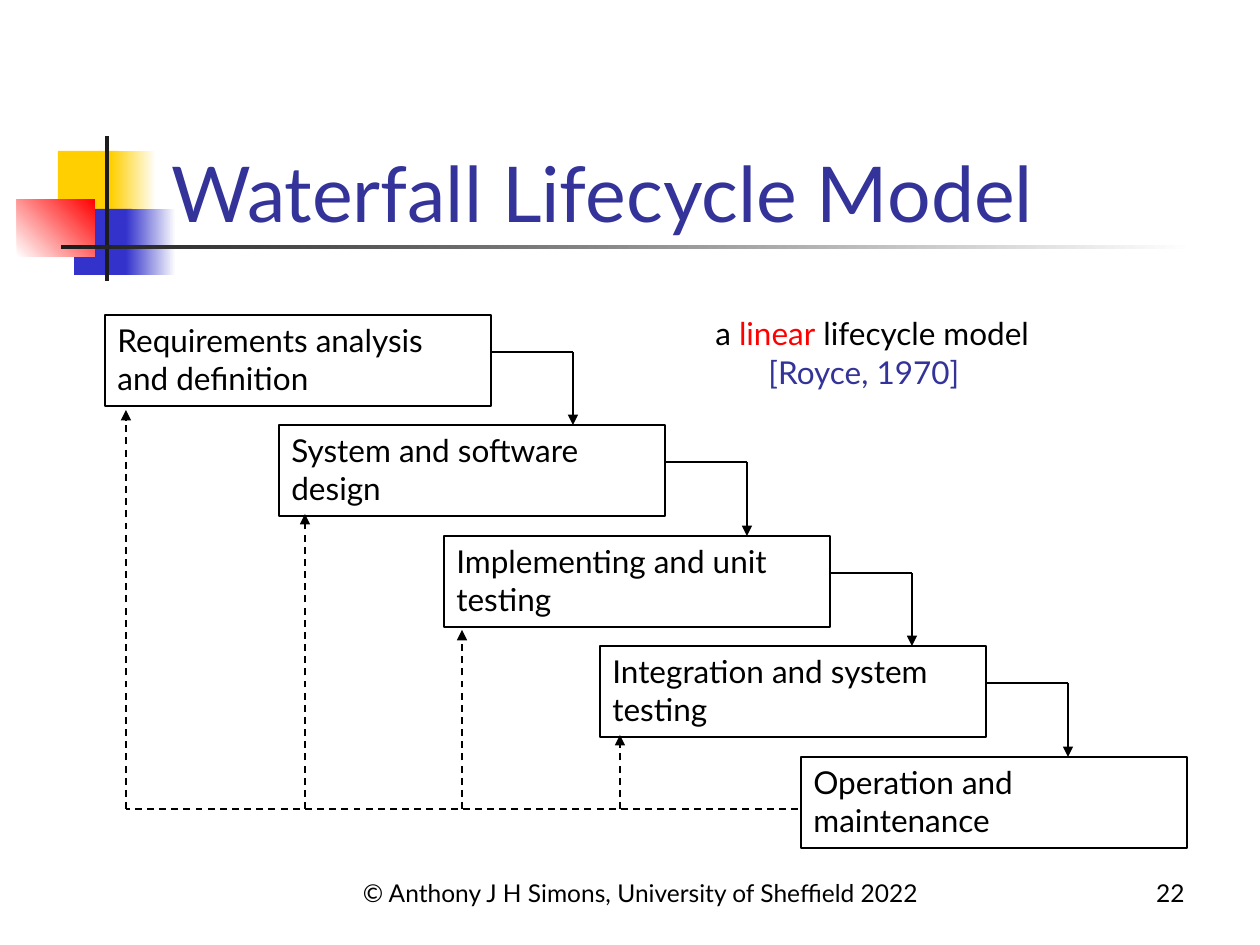
"""Build the waterfall lifecycle model slide."""
from lxml.etree import SubElement
from pptx import Presentation
from pptx.dml.color import RGBColor
from pptx.enum.dml import MSO_LINE
from pptx.enum.shapes import MSO_CONNECTOR, MSO_SHAPE
from pptx.enum.text import MSO_ANCHOR, PP_ALIGN
from pptx.oxml.ns import qn
from pptx.util import Pt

PX = 914400 // 126
FONT = "Lato"
COLORS = {name: RGBColor.from_string(value) for name, value in {
    "black": "000000", "white": "FFFFFF", "navy": "333399", "blue": "3333CC",
    "yellow": "FFCF01", "red": "FF0000", "ink": "1C1C1C"}.items()}


def add_line(start, end, dashed=False, arrow=False):
    """Draw a thin black line between two points given in px."""
    line = page.shapes.add_connector(
        MSO_CONNECTOR.STRAIGHT, *(value * PX for value in start + end))
    line.line.color.rgb = COLORS["black"]
    line.line.width = Pt(1)
    if dashed:
        line.line.dash_style = MSO_LINE.DASH
    if arrow:
        SubElement(line.line._get_or_add_ln(), qn("a:tailEnd"), type="triangle")
    SubElement(line._element.spPr, qn("a:effectLst"))


def add_text(place, spans, size, align=PP_ALIGN.LEFT, anchor=MSO_ANCHOR.TOP, wrap=True):
    """Add a text box of one paragraph made of (text, colour) spans."""
    box = page.shapes.add_textbox(*(value * PX for value in place))
    box.text_frame.word_wrap = wrap
    box.text_frame.vertical_anchor = anchor
    para = box.text_frame.paragraphs[0]
    para.alignment = align
    para.font.name = FONT
    para.font.size = Pt(size)
    for text, color in spans:
        span = para.add_run()
        span.text = text
        span.font.color.rgb = COLORS[color]


deck = Presentation()
deck.slide_width, deck.slide_height = 1260 * PX, 945 * PX
page = deck.slides.add_slide(deck.slide_layouts[5])

ornaments = [
    ((58, 151, 60, 66), "yellow", None, 0),
    ((111, 151, 45, 66), "yellow", "white", 0),
    ((74, 209, 58, 66), "blue", None, 0),
    ((126, 209, 50, 66), "blue", "white", 0),
    ((17, 199, 78, 58), "white", "red", 45),
    ((105, 136, 4, 145), "ink", None, 0),
    ((61, 245, 1134, 4), "ink", "white", 0),
]
for place, color, fade, angle in ornaments:
    block = page.shapes.add_shape(MSO_SHAPE.RECTANGLE, *(value * PX for value in place))
    block.shadow.inherit = False
    block.line.fill.background()
    if fade:
        block.fill.gradient()
        block.fill.gradient_angle = angle
        for stop, stop_color in zip(block.fill.gradient_stops, (color, fade)):
            stop.color.rgb = COLORS[stop_color]
            stop.position = 0 if stop_color == color else 1
    else:
        block.fill.solid()
        block.fill.fore_color.rgb = COLORS[color]

title = page.shapes.title
title.left, title.top, title.width, title.height = (value * PX for value in (159, 86, 1074, 158))
title.text_frame.text = "Waterfall Lifecycle Model"
title.text_frame.vertical_anchor = MSO_ANCHOR.BOTTOM
heading = title.text_frame.paragraphs[0]
heading.alignment = PP_ALIGN.LEFT
heading.font.name = FONT
heading.font.size = Pt(44)
heading.font.color.rgb = COLORS["navy"]

phases = [
    (105, "Requirements analysis and definition"),
    (279, "System and software design"),
    (444, "Implementing and unit testing"),
    (600, "Integration and system testing"),
    (801, "Operation and maintenance"),
]
BOX_WIDTH, BOX_HEIGHT = 386, 91
tops = [315 + 221 * index // 2 for index in range(len(phases))]
for (left, label), top in zip(phases, tops):
    box = page.shapes.add_shape(
        MSO_SHAPE.RECTANGLE, left * PX, top * PX, BOX_WIDTH * PX, BOX_HEIGHT * PX)
    box.shadow.inherit = False
    box.fill.background()
    box.line.color.rgb = COLORS["black"]
    box.line.width = Pt(1)
    box.text_frame.text = label
    box.text_frame.vertical_anchor = MSO_ANCHOR.TOP
    para = box.text_frame.paragraphs[0]
    para.alignment = PP_ALIGN.LEFT
    para.font.name = FONT
    para.font.size = Pt(18)
    para.font.color.rgb = COLORS["black"]

for (left, label), top, next_top in zip(phases, tops, tops[1:]):
    right, level = left + BOX_WIDTH, top + 37
    corner = right + 82
    add_line((right, level), (corner, level))
    add_line((corner, level), (corner, next_top), arrow=True)

FEEDBACK = 809
add_line((798, FEEDBACK), (126, FEEDBACK), dashed=True)
for x, tip in [(126, 410), (305, 514), (462, 630), (620, 735)]:
    add_line((x, FEEDBACK), (x, tip), dashed=True, arrow=True)

add_text((703, 308, 343, 50),
         [("a ", "black"), ("linear", "red"), (" lifecycle model", "black")], 18, wrap=False)
add_text((756, 347, 222, 50), [("[Royce, 1970]", "navy")], 18, wrap=False)
add_text((294, 851, 693, 63),
         [("© Anthony J H Simons, University of Sheffield 2022", "black")],
         14, PP_ALIGN.CENTER, MSO_ANCHOR.BOTTOM)
add_text((935, 851, 262, 63), [("22", "black")], 14, PP_ALIGN.RIGHT, MSO_ANCHOR.BOTTOM)

deck.save("out.pptx")
